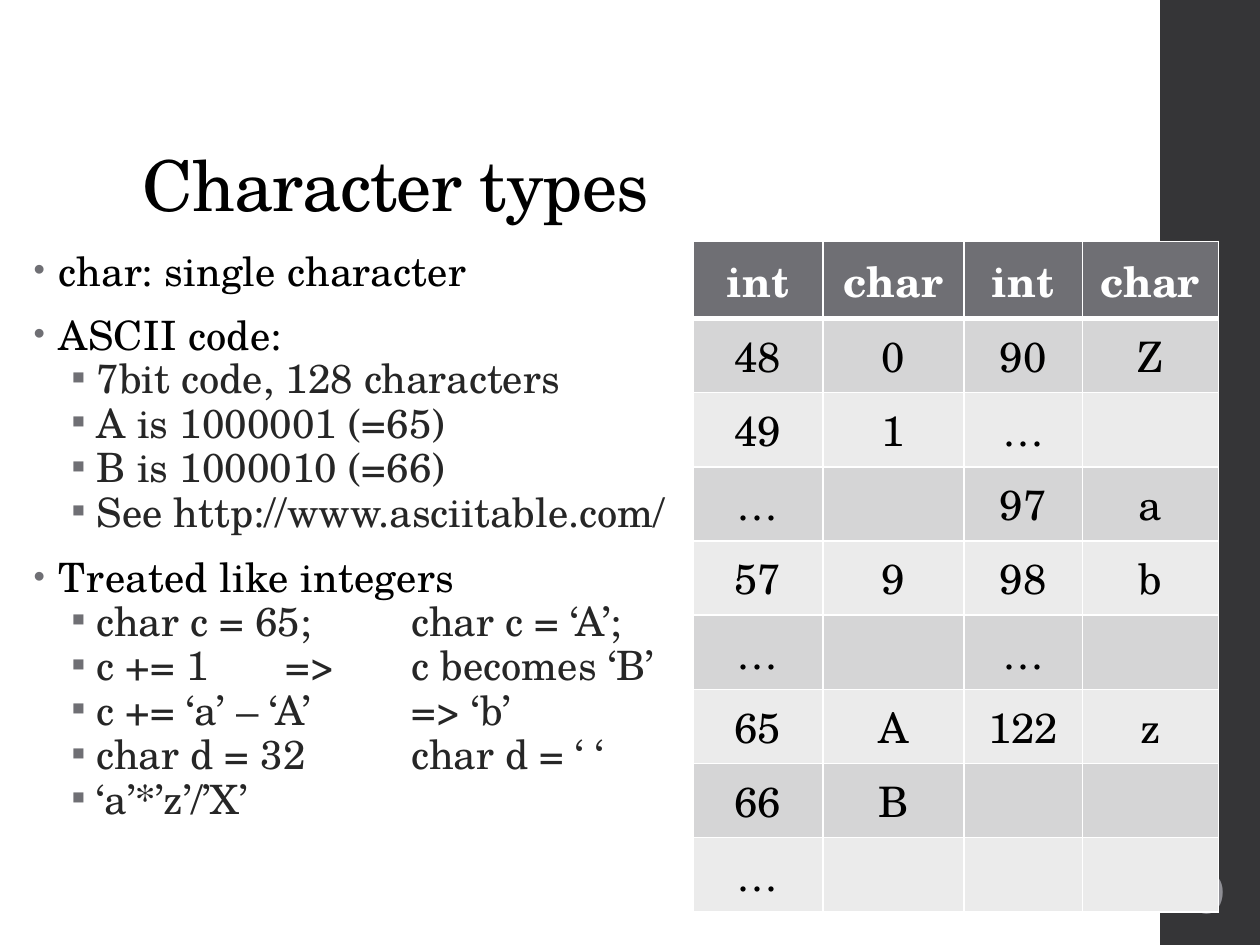
from lxml import etree
from pptx import Presentation
from pptx.dml.color import RGBColor
from pptx.enum.shapes import MSO_SHAPE
from pptx.enum.text import MSO_ANCHOR, PP_ALIGN
from pptx.oxml.ns import qn
from pptx.util import Pt

RECTANGLE = MSO_SHAPE.RECTANGLE
TOP, MIDDLE, BOTTOM = MSO_ANCHOR.TOP, MSO_ANCHOR.MIDDLE, MSO_ANCHOR.BOTTOM
CENTER = PP_ALIGN.CENTER

FONT = "TeX Gyre Schola"
COLORS = {
    "band": "353537", "text": "000000", "detail": "262626", "accent": "6F6F74",
    "number": "8E8E94", "white": "FFFFFF", "odd": "D5D5D6", "even": "EBEBEB",
}

TAB_DISTANCE = 72
TOPIC = {
    "level": 0, "color": "text", "tracking": 10, "bullet": "•", "bullet_size": 80,
    "left": 14.4, "hanging": 14.4,
    "format": {"line_spacing": 0.75, "space_before": Pt(14), "space_after": Pt(2)},
}
DETAIL = {
    "level": 1, "color": "detail", "tracking": 0, "bullet": "▪", "bullet_size": 100,
    "left": 36, "hanging": 14.4,
    "format": {"line_spacing": 0.7, "space_before": Pt(3), "space_after": Pt(3)},
}
OUTLINE = [
    ("char: single character", []),
    ("ASCII code:", [
        "7bit code, 128 characters",
        "A is 1000001 (=65)",
        "B is 1000010 (=66)",
        "See http://www.asciitable.com/",
    ]),
    ("Treated like integers", [
        "char c = 65; \tchar c = ‘A’;",
        "c += 1 \t=> \tc becomes ‘B’",
        "c += ‘a’ – ‘A’ \t=> ‘b’",
        "char d = 32\tchar d = ‘ ‘",
        "‘a’*’z’/’X’",
    ]),
]
CODES = [
    ["int", "char", "int", "char"],
    ["48", "0", "90", "Z"],
    ["49", "1", "…", ""],
    ["…", "", "97", "a"],
    ["57", "9", "98", "b"],
    ["…", "", "…", ""],
    ["65", "A", "122", "z"],
    ["66", "B", "", ""],
    ["…", "", "", ""],
]
COLUMN_WIDTHS = [74.2, 80.6, 67.7, 77.7]
HEADER_HEIGHT, ROW_HEIGHT = 44, 42.4


def rgb(name):
    return RGBColor.from_string(COLORS[name])


def apply(target, values):
    for key, value in values.items():
        setattr(target, key, value)


def add_run(paragraph, text, size, color, tracking=0, bold=False):
    run = paragraph.add_run()
    run.text = text
    apply(run.font, {"name": FONT, "size": Pt(size), "bold": bold})
    run.font.color.rgb = rgb(color)
    if tracking:
        run.font._element.set("spc", str(tracking))


def add_frame(slide, left, top, width, height, anchor):
    box = slide.shapes.add_textbox(Pt(left), Pt(top), Pt(width), Pt(height))
    apply(box.text_frame, {"word_wrap": True, "vertical_anchor": anchor})
    return box.text_frame


def add_bullet(paragraph, style):
    properties = paragraph._p.get_or_add_pPr()
    properties.set("marL", str(Pt(style["left"])))
    properties.set("indent", str(-Pt(style["hanging"])))
    properties.set("defTabSz", str(Pt(TAB_DISTANCE)))
    bullet_color = etree.SubElement(properties, qn("a:buClr"))
    etree.SubElement(bullet_color, qn("a:srgbClr"), val=COLORS["accent"])
    etree.SubElement(properties, qn("a:buSzPct"), val=str(style["bullet_size"] * 1000))
    etree.SubElement(properties, qn("a:buFont"), typeface="Arial")
    etree.SubElement(properties, qn("a:buChar"), char=style["bullet"])


def add_side_band(slide):
    band = slide.shapes.add_shape(RECTANGLE, Pt(663), Pt(0), Pt(57.6), Pt(540))
    band.shadow.inherit = False
    band.fill.solid()
    band.fill.fore_color.rgb = rgb("band")
    band.line.fill.background()


def add_title(slide):
    title = add_frame(slide, 74.6, 28.8, 572.4, 104.4, BOTTOM).paragraphs[0]
    title.line_spacing = 0.9
    add_run(title, "Character types", 40, "text", -50)


def add_outline(slide):
    frame = add_frame(slide, 12.2, 143.3, 540, 342.7, TOP)
    lines = []
    for topic, details in OUTLINE:
        lines.append((topic, TOPIC))
        lines.extend((detail, DETAIL) for detail in details)
    for index, (text, style) in enumerate(lines):
        paragraph = frame.add_paragraph() if index else frame.paragraphs[0]
        paragraph.level = style["level"]
        add_bullet(paragraph, style)
        apply(paragraph, style["format"])
        if index == 0:
            paragraph.space_before = Pt(0)
        add_run(paragraph, text, 23.1, style["color"], style["tracking"])


def add_slide_number(slide):
    frame = add_frame(slide, 664.6, 486, 54, 46.8, MIDDLE)
    apply(frame, {"margin_left": Pt(2.2), "margin_right": Pt(2.2)})
    number = frame.paragraphs[0]
    number.alignment = CENTER
    add_run(number, "9", 32, "number")


def add_borders(cell, widths):
    properties = cell._tc.get_or_add_tcPr()
    for index, (side, width) in enumerate(widths.items()):
        border = etree.Element(qn("a:" + side), w=str(Pt(width)))
        fill = etree.SubElement(border, qn("a:solidFill"))
        etree.SubElement(fill, qn("a:srgbClr"), val=COLORS["white"])
        properties.insert(index, border)


def fill_cell(cell, text, row):
    header = row == 0
    cell.fill.solid()
    cell.fill.fore_color.rgb = rgb("accent" if header else "odd" if row % 2 else "even")
    add_borders(cell, {"lnL": 1, "lnR": 1, "lnT": 3 if row == 1 else 1,
                       "lnB": 3 if header else 1})
    paragraph = cell.text_frame.paragraphs[0]
    paragraph.alignment = CENTER
    if text:
        add_run(paragraph, text, 24, "white" if header else "text", bold=header)


def add_code_table(slide):
    height = HEADER_HEIGHT + ROW_HEIGHT * (len(CODES) - 1)
    table = slide.shapes.add_table(
        len(CODES), len(COLUMN_WIDTHS), Pt(396), Pt(138),
        Pt(sum(COLUMN_WIDTHS)), Pt(height)).table
    for column, width in zip(table.columns, COLUMN_WIDTHS):
        column.width = Pt(width)
    for row, values in enumerate(CODES):
        table.rows[row].height = Pt(ROW_HEIGHT if row else HEADER_HEIGHT)
        for column, text in enumerate(values):
            fill_cell(table.cell(row, column), text, row)


def main():
    deck = Presentation()
    apply(deck, {"slide_width": Pt(720), "slide_height": Pt(540)})
    slide = deck.slides.add_slide(deck.slide_layouts[6])
    add_side_band(slide)
    add_title(slide)
    add_outline(slide)
    add_slide_number(slide)
    add_code_table(slide)
    deck.save("out.pptx")


if __name__ == "__main__":
    main()
